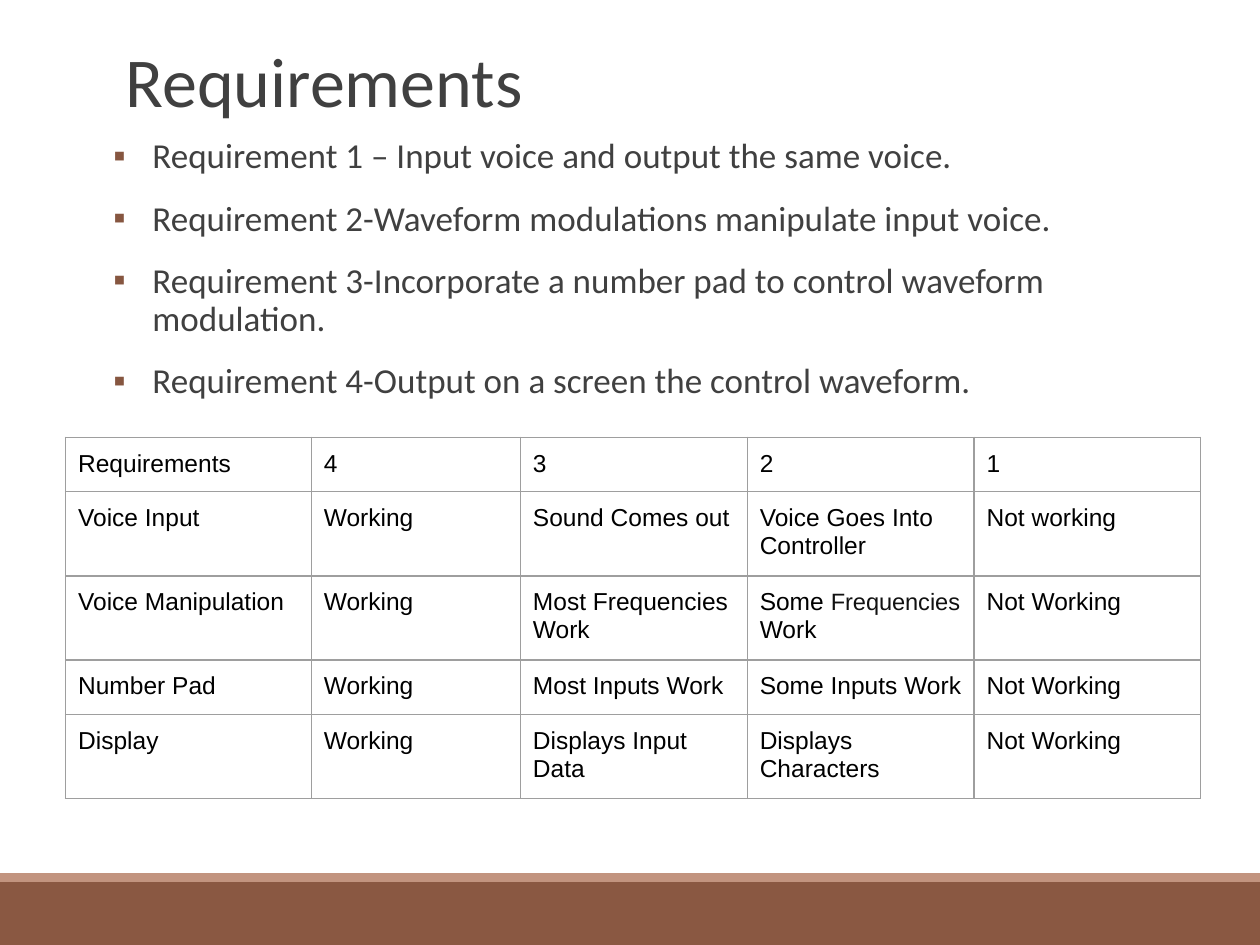
from pptx import Presentation
from pptx.dml.color import RGBColor
from pptx.enum.shapes import MSO_SHAPE
from pptx.enum.text import MSO_ANCHOR
from pptx.oxml.ns import qn
from pptx.util import Inches, Pt
from lxml.etree import SubElement

COLS, ROWS = 100, 75
HUES = {
    "band": "8A5842",
    "trim": "C2947F",
    "mark": "865640",
    "text": "404040",
    "cell": "000000",
    "soft": "111111",
    "rule": "9E9E9E",
}
NEEDS = [
    "Requirement 1 – Input voice and output the same voice.",
    "Requirement 2-Waveform modulations manipulate input voice.",
    "Requirement 3-Incorporate a number pad to control waveform modulation.",
    "Requirement 4-Output on a screen the control waveform.",
]
MIXED = [("Some ", 14, "cell"), ("Frequencies", 13.5, "soft"), (" Work", 14, "cell")]
SCORES = [
    ["Requirements", "4", "3", "2", "1"],
    ["Voice Input", "Working", "Sound Comes out", "Voice Goes Into Controller", "Not working"],
    ["Voice Manipulation", "Working", "Most Frequencies\nWork", MIXED, "Not Working"],
    ["Number Pad", "Working", "Most Inputs Work", "Some Inputs Work", "Not Working"],
    ["Display", "Working", "Displays Input Data", "Displays Characters", "Not Working"],
]


class Deck:
    def __init__(self):
        self.file = Presentation()
        self.file.slide_width, self.file.slide_height = Inches(10), Inches(7.5)
        self.slide = self.file.slides.add_slide(self.file.slide_layouts[6])

    def across(self, cols):
        return round(self.file.slide_width * cols / COLS)

    def down(self, rows):
        return round(self.file.slide_height * rows / ROWS)

    def area(self, left, top, wide, high):
        return self.across(left), self.down(top), self.across(wide), self.down(high)

    def hue(self, name):
        return RGBColor.from_string(HUES[name])

    def run(self, para, text, font, size, hue):
        run = para.add_run()
        run.text = text
        run.font.name, run.font.size = font, Pt(size)
        run.font.color.rgb = self.hue(hue)

    def bar(self, place, hue):
        bar = self.slide.shapes.add_shape(MSO_SHAPE.RECTANGLE, *self.area(*place))
        bar.shadow.inherit = False
        bar.fill.solid()
        bar.fill.fore_color.rgb = self.hue(hue)
        bar.line.fill.background()

    def frame(self, place, side, anchor):
        frame = self.slide.shapes.add_textbox(*self.area(*place)).text_frame
        frame.word_wrap = True
        frame.margin_left = frame.margin_right = self.across(side)
        frame.margin_top = frame.margin_bottom = self.down(0.5)
        frame.vertical_anchor = anchor
        return frame

    def title(self, place, text):
        para = self.frame(place, 1, MSO_ANCHOR.MIDDLE).paragraphs[0]
        para.line_spacing = 0.85
        self.run(para, text, "Calibri", 40, "text")

    def list(self, place, lines):
        frame = self.frame(place, 0, MSO_ANCHOR.TOP)
        for i, line in enumerate(lines):
            para = frame.add_paragraph() if i else frame.paragraphs[0]
            para.line_spacing = 0.9
            para.space_before = Pt(14 if i else 0)
            self.mark(para, 3.1)
            self.run(para, line, "Calibri", 20, "text")

    def mark(self, para, inset):
        props = para._p.get_or_add_pPr()
        props.set("marL", str(self.across(inset)))
        props.set("indent", str(-self.across(inset)))
        tint = SubElement(props, qn("a:buClr"))
        SubElement(tint, qn("a:srgbClr"), val=HUES["mark"])
        SubElement(props, qn("a:buFont"), typeface="Arial")
        SubElement(props, qn("a:buChar"), char="▪")

    def table(self, left, top, wides, highs, data):
        place = self.area(left, top, sum(wides), sum(highs))
        grid = self.slide.shapes.add_table(len(highs), len(wides), *place).table
        grid.first_row = grid.horz_banding = False
        for col, wide in zip(grid.columns, wides):
            col.width = self.across(wide)
        for row, high, texts in zip(grid.rows, highs, data):
            row.height = self.down(high)
            for cell, text in zip(row.cells, texts):
                self.cell(cell, text)

    def cell(self, cell, text):
        cell.margin_left = cell.margin_right = self.across(1)
        cell.margin_top = cell.margin_bottom = self.down(1)
        props = cell._tc.get_or_add_tcPr()
        for side in ("lnL", "lnR", "lnT", "lnB"):
            line = SubElement(props, qn(f"a:{side}"), w=str(Pt(0.75)))
            fill = SubElement(line, qn("a:solidFill"))
            SubElement(fill, qn("a:srgbClr"), val=HUES["rule"])
        cell.fill.background()
        plain = isinstance(text, str)
        paras = [[(line, 14, "cell")] for line in text.split("\n")] if plain else [text]
        for i, parts in enumerate(paras):
            frame = cell.text_frame
            para = frame.add_paragraph() if i else frame.paragraphs[0]
            for words, size, hue in parts:
                self.run(para, words, "Arial", size, hue)


def main():
    deck = Deck()
    deck.bar((0, 70, COLS, 5), "band")
    deck.bar((0, 69.3, COLS, 0.7), "trim")
    deck.list((9, 10.5, 82.5, 51.2), NEEDS)
    deck.title((9, 3.1, 82.5, 7.4), "Requirements")
    deck.table(5.2, 34.7, [19.5, 16.6] + [18] * 3, [4.2, 4.3, 4.3, 4.2, 4.3], SCORES)
    deck.file.save("out.pptx")


if __name__ == "__main__":
    main()
